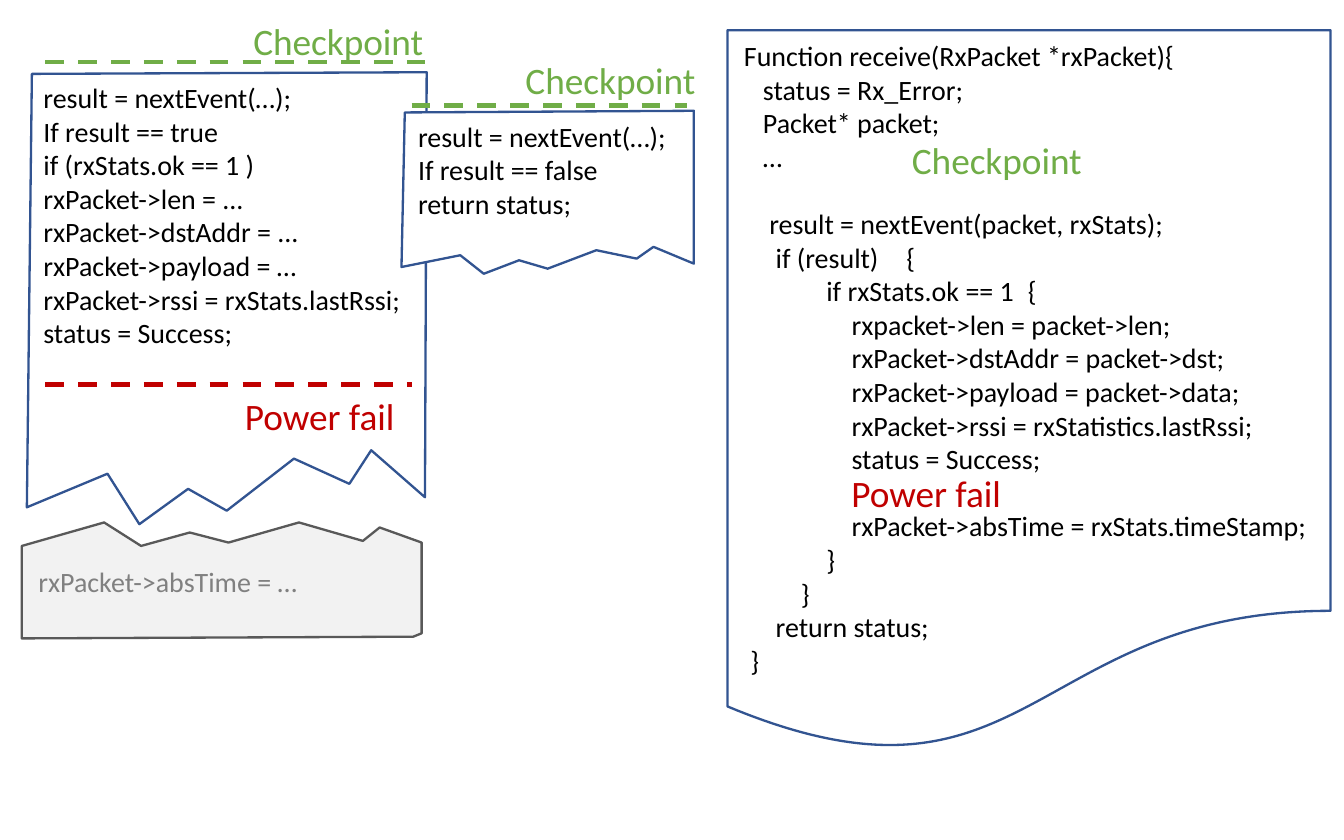
from lxml import etree
from pptx import Presentation
from pptx.dml.color import RGBColor
from pptx.enum import dml, shapes, text
from pptx.oxml.ns import qn
from pptx.util import Inches, Pt

BLUE, GREEN, RED = "325491", "70AD47", "C00000"
SPACE, GAP = 0.0377, 14.4

SCRAPS = [
    dict(points=[(0.16, 3.02), (0.19, 0.44), (2.54, 0.43), (2.53, 2.96),
                 (2.21, 2.68), (2.08, 2.88), (1.75, 2.73), (1.35, 3.04),
                 (1.12, 2.91), (0.83, 3.12), (0.64, 2.82)],
         rows=["result = nextEvent(…);", "If result == true",
               "if (rxStats.ok == 1 )", "rxPacket->len = ...",
               "rxPacket->dstAddr = ...", "rxPacket->payload = …",
               "rxPacket->rssi = rxStats.lastRssi;", "status = Success;"],
         fill="FFFFFF", line=BLUE, ink="000000", top=0.05),
    dict(points=[(2.39, 1.59), (2.41, 0.67), (4.13, 0.66), (4.13, 1.57),
                 (3.89, 1.47), (3.79, 1.54), (3.55, 1.49), (3.26, 1.6),
                 (3.09, 1.55), (2.88, 1.63), (2.74, 1.52)],
         rows=["result = nextEvent(…);", "If result == false",
               "return status;"],
         fill="FFFFFF", line=BLUE, ink="000000", top=0.05),
    dict(points=[(0.13, 3.25), (0.13, 3.8), (2.46, 3.79), (2.51, 3.77),
                 (2.51, 3.23), (2.26, 3.14), (2.16, 3.22), (1.78, 3.11),
                 (1.36, 3.23), (1.13, 3.17), (0.84, 3.25), (0.62, 3.11)],
         rows=["rxPacket->absTime = …"],
         fill="F2F2F2", line="595959", ink="808080", top=0.25),
]

CODE = [
    (0, "Function receive(RxPacket *rxPacket){", 0),
    (3, "status = Rx_Error;", 0),
    (3, "Packet* packet;", 0),
    (3, "…", 0),
    (4, "result = nextEvent(packet, rxStats);", GAP),
    (5, "if (result)\u2003{", 0),
    (13, "if rxStats.ok == 1\u2002{", 0),
    (17, "rxpacket->len = packet->len;", 0),
    (17, "rxPacket->dstAddr = packet->dst;", 0),
    (17, "rxPacket->payload = packet->data;", 0),
    (17, "rxPacket->rssi = rxStatistics.lastRssi;", 0),
    (17, "status = Success;", 0),
    (17, "rxPacket->absTime = rxStats.timeStamp;", GAP),
    (13, "}", 0),
    (9, "}", 0),
    (5, "return status;", 0),
    (1, "}", 0),
]

RULES = [(0.27, 2.45, 2.29, RED), (0.27, 2.53, 0.37, GREEN),
         (2.45, 4.09, 0.63, GREEN)]

LABELS = [
    ("Power fail", 1.36, 2.29, RED), ("Checkpoint", 1.41, 0.06, GREEN),
    ("Checkpoint", 3.03, 0.29, GREEN), ("Power fail", 4.97, 2.75, RED),
    ("Checkpoint", 5.33, 0.77, GREEN),
]


def tint(code):
    return RGBColor.from_string(code)


def paint(shape, fill, line):
    shape.shadow.inherit = False
    shape.fill.solid()
    shape.fill.fore_color.rgb = tint(fill)
    shape.line.color.rgb = tint(line)
    shape.line.width = Pt(1)


def write(shape, rows, size, ink, top=0.05):
    frame = shape.text_frame
    frame.word_wrap = True
    frame.vertical_anchor = text.MSO_ANCHOR.TOP
    frame.margin_top = Inches(top)
    for i, (dent, words, gap) in enumerate(rows):
        para = frame.add_paragraph() if i else frame.paragraphs[0]
        para.text = words
        para.alignment = text.PP_ALIGN.LEFT
        para.space_before = Pt(gap)
        para.font.name = "Calibri"
        para.font.size = Pt(size)
        para.font.color.rgb = tint(ink)
        props = para._p.get_or_add_pPr()
        props.set("marL", str(Inches(dent * SPACE)))
        props.set("indent", "0")


deck = Presentation()
deck.slide_width, deck.slide_height = Inches(8), Inches(5)
slide = deck.slides.add_slide(deck.slide_layouts[6])
items = slide.shapes

for scrap in SCRAPS:
    first, *rest = [(Inches(x), Inches(y)) for x, y in scrap["points"]]
    pen = items.build_freeform(*first)
    pen.add_line_segments(rest, close=True)
    sheet = pen.convert_to_shape()
    paint(sheet, scrap["fill"], scrap["line"])
    write(sheet, [(0, row, 0) for row in scrap["rows"]], 12,
          scrap["ink"], scrap["top"])

page = items.add_shape(shapes.MSO_SHAPE.FLOWCHART_DOCUMENT, Inches(4.33),
                       Inches(0.18), Inches(3.59), Inches(4.31))
paint(page, "FFFFFF", BLUE)
write(page, CODE, 12, "000000")

for left, right, y, color in RULES:
    rule = items.add_connector(shapes.MSO_CONNECTOR.STRAIGHT, Inches(left),
                               Inches(y), Inches(right), Inches(y))
    rule.line.color.rgb = tint(color)
    rule.line.width = Pt(2)
    rule.line.dash_style = dml.MSO_LINE.DASH
    etree.SubElement(rule._element.spPr, qn("a:effectLst"))

for words, x, y, color in LABELS:
    label = items.add_textbox(Inches(x), Inches(y), Inches(1.3), Inches(0.37))
    write(label, [(0, words, 0)], 16, color)

deck.save("out.pptx")
